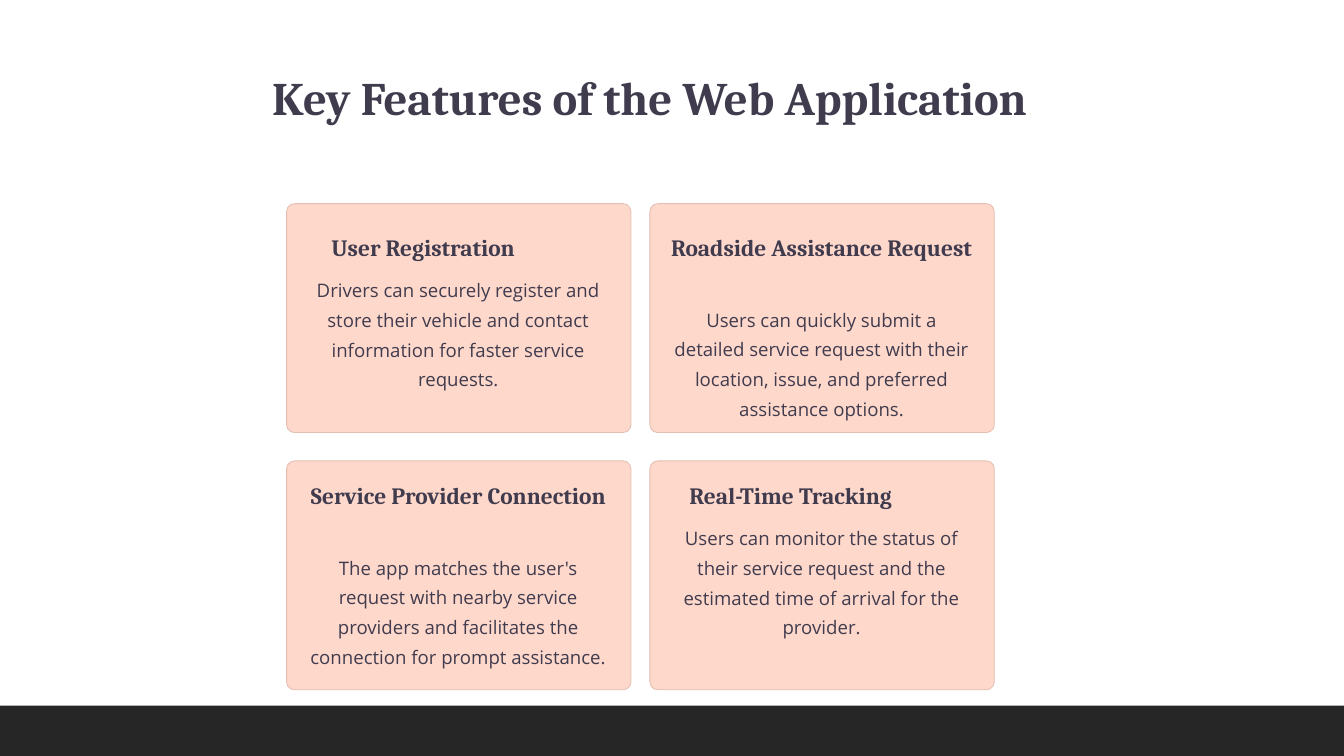
import pptx
import pptx.dml.color
import pptx.enum.shapes
import pptx.enum.text
import pptx.util

PX = 9525  # EMU per px, 96 px to the inch
INK = pptx.dml.color.RGBColor(0x40, 0x3C, 0x4E)
CARD_FILL = pptx.dml.color.RGBColor(0xFF, 0xD8, 0xCC)
CARD_LINE = pptx.dml.color.RGBColor(0xE5, 0xBE, 0xB2)
FOOTER_FILL = pptx.dml.color.RGBColor(0x26, 0x26, 0x26)
HEADING_FONT, BODY_FONT = "Cambria", "Open Sans"

CARD_WIDTH, CARD_HEIGHT = 328, 218
CARD_LEFTS = (273, 619)
CARD_TOPS = (194, 439)
HEADING_OFFSETS = (27, 18)
TEXT_INSET, TEXT_WIDTH = 18, 291
LINE_HEIGHT, HEADING_GAP, BODY_HEIGHT = 28, 10, 114

# Heading, width of its box, lines it reserves, description
FEATURES = [
    ("User Registration", 224, 1,
     "Drivers can securely register and store their vehicle and contact "
     "information for faster service requests."),
    ("Roadside Assistance Request", TEXT_WIDTH, 2,
     "Users can quickly submit a detailed service request with their location, "
     "issue, and preferred assistance options."),
    ("Service Provider Connection", TEXT_WIDTH, 2,
     "The app matches the user's request with nearby service providers and "
     "facilitates the connection for prompt assistance."),
    ("Real-Time Tracking", 232, 1,
     "Users can monitor the status of their service request and the estimated "
     "time of arrival for the provider."),
]

deck = pptx.Presentation()
deck.slide_width, deck.slide_height = 1280 * PX, 720 * PX
slide = deck.slides.add_slide(deck.slide_layouts[5])


def add_panel(kind, left, top, width, height, fill):
    panel = slide.shapes.add_shape(kind, left * PX, top * PX, width * PX, height * PX)
    panel.shadow.inherit = False
    panel.fill.solid()
    panel.fill.fore_color.rgb = fill
    return panel


def write_centred(box, place, text, font, size, leading, bold):
    """Place the box and fill it with one centred run."""
    box.left, box.top, box.width, box.height = (length * PX for length in place)
    frame = box.text_frame
    frame.word_wrap = True
    frame.auto_size = pptx.enum.text.MSO_AUTO_SIZE.NONE
    frame.vertical_anchor = pptx.enum.text.MSO_ANCHOR.TOP
    frame.margin_left = frame.margin_right = 0
    frame.margin_top = frame.margin_bottom = 0
    para = frame.paragraphs[0]
    para.alignment = pptx.enum.text.PP_ALIGN.CENTER
    para.line_spacing = pptx.util.Pt(leading)
    span = para.add_run()
    span.text = text
    span.font.name = font
    span.font.size = pptx.util.Pt(size)
    span.font.bold = bold
    span.font.color.rgb = INK


footer = add_panel(pptx.enum.shapes.MSO_SHAPE.RECTANGLE, 0, 672, 1280, 48, FOOTER_FILL)
footer.line.fill.background()

write_centred(slide.shapes.title, (21, 63, 1196, 111),
              "Key Features of the Web Application", HEADING_FONT, 33.3, 41.7, True)

for index, (heading, heading_width, heading_lines, description) in enumerate(FEATURES):
    row, column = divmod(index, 2)
    left, top = CARD_LEFTS[column], CARD_TOPS[row]
    card = add_panel(pptx.enum.shapes.MSO_SHAPE.ROUNDED_RECTANGLE,
                     left, top, CARD_WIDTH, CARD_HEIGHT, CARD_FILL)
    card.adjustments[0] = 0.034
    card.line.color.rgb = CARD_LINE
    card.line.width = pptx.util.Pt(0.6)

    text_left = left + TEXT_INSET
    heading_top = top + HEADING_OFFSETS[row]
    heading_height = heading_lines * LINE_HEIGHT
    body_top = heading_top + heading_height + HEADING_GAP
    write_centred(slide.shapes.add_textbox(0, 0, 0, 0),
                  (text_left, heading_top, heading_width, heading_height),
                  heading, HEADING_FONT, 16.7, 20.8, True)
    write_centred(slide.shapes.add_textbox(0, 0, 0, 0),
                  (text_left, body_top, TEXT_WIDTH, BODY_HEIGHT),
                  description, BODY_FONT, 13.3, 21.2, False)

deck.save("out.pptx")
